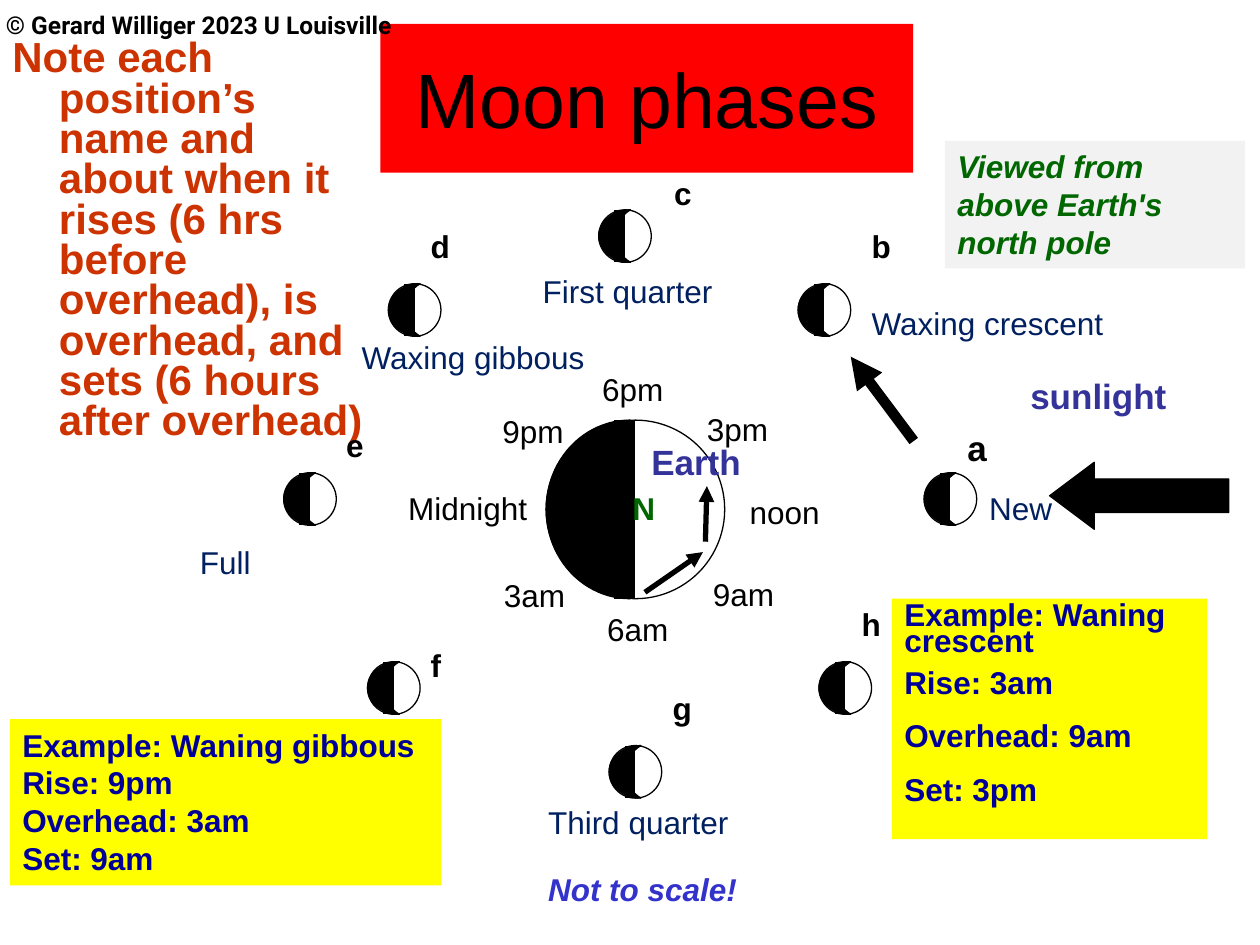
from dataclasses import dataclass
from typing import Optional

from lxml import etree
from pptx import Presentation
from pptx.dml.color import RGBColor
from pptx.enum.shapes import MSO_CONNECTOR, MSO_SHAPE
from pptx.enum.text import MSO_ANCHOR, PP_ALIGN
from pptx.oxml.ns import qn
from pptx.util import Cm, Pt

STRAIGHT = MSO_CONNECTOR.STRAIGHT
OVAL, RECTANGLE = MSO_SHAPE.OVAL, MSO_SHAPE.RECTANGLE
CRESCENT, LEFT_ARROW = MSO_SHAPE.MOON, MSO_SHAPE.LEFT_ARROW
TOP, MIDDLE, BOTTOM = MSO_ANCHOR.TOP, MSO_ANCHOR.MIDDLE, MSO_ANCHOR.BOTTOM
LEFT, CENTER = PP_ALIGN.LEFT, PP_ALIGN.CENTER

BLACK = RGBColor(0x00, 0x00, 0x00)
WHITE = RGBColor(0xFF, 0xFF, 0xFF)
RED = RGBColor(0xFF, 0x00, 0x00)
YELLOW = RGBColor(0xFF, 0xFF, 0x00)
PALE_GRAY = RGBColor(0xF2, 0xF2, 0xF2)
RUST = RGBColor(0xCC, 0x33, 0x00)
NAVY = RGBColor(0x00, 0x20, 0x60)
DARK_BLUE = RGBColor(0x00, 0x00, 0x99)
INDIGO = RGBColor(0x33, 0x33, 0x99)
BRIGHT_BLUE = RGBColor(0x33, 0x33, 0xCC)
GREEN = RGBColor(0x00, 0x66, 0x00)

MOON_SIZE = 1.06


@dataclass(frozen=True)
class Box:
    """A rectangle in centimetres."""
    left: float
    top: float
    width: float
    height: float = 1.02


@dataclass(frozen=True)
class Label:
    text: str
    left: float
    top: float
    width: float = 0.94


@dataclass(frozen=True)
class Line:
    start_x: float
    start_y: float
    end_x: float
    end_y: float
    weight: float = 6


MOONS = [(18.63, 9.53), (16.09, 5.72), (12.07, 4.23), (7.83, 5.72),
         (5.72, 9.53), (7.41, 13.34), (12.28, 15.03), (16.51, 13.34)]

EARTH_SHADING = [
    Line(x, top, x, bottom) for x, top, bottom in [
        (12.28, 8.89, 11.85), (12.7, 8.47, 12.07), (12.49, 8.47, 11.85),
        (12.49, 8.68, 11.85), (12.49, 8.68, 12.07), (12.49, 8.47, 12.07),
        (12.28, 8.68, 11.64)]
]

ARROWS = [
    Line(18.42, 8.89, 17.15, 7.19),
    Line(13, 11.94, 14.17, 11.13, 3),
    Line(14.22, 10.92, 14.25, 9.8, 3),
]

LETTERS = [
    Label("b", 17.32, 4.45), Label("c", 13.34, 3.38), Label("d", 8.43, 4.45),
    Label("e", 6.73, 8.46), Label("f", 8.43, 12.9), Label("g", 13.31, 13.77),
    Label("h", 17.12, 12.07),
]

TIMES = [
    Label("noon", 14.86, 9.8, 2.54), Label("Midnight", 7.98, 9.73, 3.43),
    Label("6pm", 11.89, 7.32, 1.8), Label("6am", 11.99, 12.17, 2.08),
    Label("9pm", 9.88, 8.18, 2.01), Label("3am", 9.91, 11.48, 1.8),
    Label("3pm", 14, 8.13, 1.96), Label("9am", 14.12, 11.46, 1.8),
]

PHASES = [
    Label("New", 19.69, 9.73, 2.11), Label("Waxing crescent", 17.32, 5.99, 5.23),
    Label("First quarter", 10.69, 5.36, 3.96), Label("Waxing gibbous", 7.04, 6.68, 5.05),
    Label("Full", 3.78, 10.82, 1.57), Label("Third quarter", 10.8, 16.05, 4.19),
]


def add_figure(slide, kind, box: Box, fill: RGBColor, adjustments=()):
    shape = slide.shapes.add_shape(
        kind, Cm(box.left), Cm(box.top), Cm(box.width), Cm(box.height))
    shape.shadow.inherit = False
    shape.fill.solid()
    shape.fill.fore_color.rgb = fill
    shape.line.color.rgb = BLACK
    shape.line.width = Pt(0.75)
    for index, value in enumerate(adjustments):
        shape.adjustments[index] = value
    return shape


def add_line(slide, line: Line, arrow: bool = False) -> None:
    connector = slide.shapes.add_connector(
        STRAIGHT, Cm(line.start_x), Cm(line.start_y), Cm(line.end_x), Cm(line.end_y))
    connector.line.color.rgb = BLACK
    connector.line.width = Pt(line.weight)
    properties = connector._element.spPr
    if arrow:
        etree.SubElement(properties.find(qn("a:ln")), qn("a:tailEnd"), type="triangle")
    etree.SubElement(properties, qn("a:effectLst"))


def add_text(slide, text: str, box: Box, *, size: float = 18, color: RGBColor = BLACK,
             bold: bool = False, italic: bool = False, font: str = "Arial",
             fill: Optional[RGBColor] = None, align=LEFT, anchor=TOP,
             inset: float = 0.13, hanging: float = 0):
    """Add a text box with one paragraph per line of text."""
    shape = slide.shapes.add_textbox(
        Cm(box.left), Cm(box.top), Cm(box.width), Cm(box.height))
    if fill is not None:
        shape.fill.solid()
        shape.fill.fore_color.rgb = fill
    frame = shape.text_frame
    frame.word_wrap = True
    frame.vertical_anchor = anchor
    frame.margin_left = frame.margin_right = Cm(0.25)
    frame.margin_top = frame.margin_bottom = Cm(inset)
    frame.text = text
    for paragraph in frame.paragraphs:
        paragraph.alignment = align
        if hanging:
            properties = paragraph._p.get_or_add_pPr()
            properties.set("marL", str(Cm(hanging)))
            properties.set("indent", str(-Cm(hanging)))
        for run in paragraph.runs:
            run.font.name = font
            run.font.size = Pt(size)
            run.font.bold = bold
            run.font.italic = italic
            run.font.color.rgb = color
    return frame


def add_labels(slide, labels: list[Label], **text_format) -> None:
    for label in labels:
        add_text(slide, label.text, Box(label.left, label.top, label.width), **text_format)


def add_half_disc(slide, left: float, top: float, size: float, dark_width: float) -> None:
    """Draw a white disc whose left half is covered by a dark crescent."""
    add_figure(slide, OVAL, Box(left, top, size, size), WHITE)
    add_figure(slide, CRESCENT, Box(left, top, dark_width, size), BLACK, [0.5])


def draw_diagram(slide) -> None:
    add_half_disc(slide, 11.01, 8.47, 3.6, 1.69)
    add_figure(slide, RECTANGLE, Box(11.85, 8.89, 0.64, 2.75), BLACK)
    for line in EARTH_SHADING:
        add_line(slide, line)
    for left, top in MOONS:
        add_half_disc(slide, left, top, MOON_SIZE, 0.64)
        add_line(slide, Line(left + 0.42, top, left + 0.42, top + MOON_SIZE))
    add_figure(slide, LEFT_ARROW, Box(21.16, 9.32, 3.61, 1.35), BLACK, [0.5, 0.667])
    for arrow in ARROWS:
        add_line(slide, arrow, arrow=True)


def write_boxes(slide) -> None:
    add_text(slide, "Example: Waning gibbous\nRise: 9pm\nOverhead: 3am\nSet: 9am",
             Box(0.2, 14.5, 8.69, 3.35), color=DARK_BLUE, bold=True, fill=YELLOW)
    add_text(slide, "Moon phases", Box(7.67, 0.48, 10.74, 3), size=44,
             fill=RED, align=CENTER, anchor=MIDDLE)
    note = add_text(
        slide, "Note each position’s name and about when it rises (6 hrs before overhead), "
        "is overhead, and sets (6 hours after overhead)",
        Box(0, 0.69, 7.82, 10.01), size=24, color=RUST, bold=True, hanging=0.94)
    note.paragraphs[0].line_spacing = 0.8
    crescent = add_text(
        slide, "Example: Waning crescent\nRise: 3am\nOverhead: 9am\nSet: 3pm",
        Box(17.98, 12.07, 6.35, 4.85), color=DARK_BLUE, bold=True, fill=YELLOW)
    for paragraph in crescent.paragraphs[:2]:
        paragraph.line_spacing = 0.7
    for paragraph in crescent.paragraphs[1:]:
        paragraph.space_before = Pt(9)
    add_text(slide, "Viewed from above Earth's north pole", Box(19.05, 2.84, 6.05, 2.57),
             color=GREEN, bold=True, italic=True, fill=PALE_GRAY)


def write_labels(slide) -> None:
    add_labels(slide, [Label("sunlight", 20.52, 7.42, 3.81), Label("Earth", 12.88, 8.76, 2.97)],
               size=20, color=INDIGO, bold=True)
    add_labels(slide, [Label("a", 19.25, 8.46, 1.07)], size=20, bold=True)
    add_labels(slide, LETTERS, bold=True)
    add_labels(slide, [Label("N", 12.5, 9.73)], color=GREEN, bold=True)
    add_labels(slide, [Label("Not to scale!", 10.8, 17.4, 5.28)],
               color=BRIGHT_BLUE, bold=True, italic=True)
    add_labels(slide, TIMES)
    add_labels(slide, PHASES, color=NAVY)
    add_text(slide, "© Gerard Williger 2023 U Louisville", Box(-0.13, -0.08, 9.37, 1.12),
             size=14, bold=True, font="Roboto", anchor=BOTTOM, inset=0.25)


def main() -> None:
    presentation = Presentation()
    presentation.slide_width, presentation.slide_height = Cm(25.4), Cm(19.05)
    slide = presentation.slides.add_slide(presentation.slide_layouts[6])
    write_boxes(slide)
    draw_diagram(slide)
    write_labels(slide)
    presentation.save("out.pptx")


if __name__ == "__main__":
    main()
